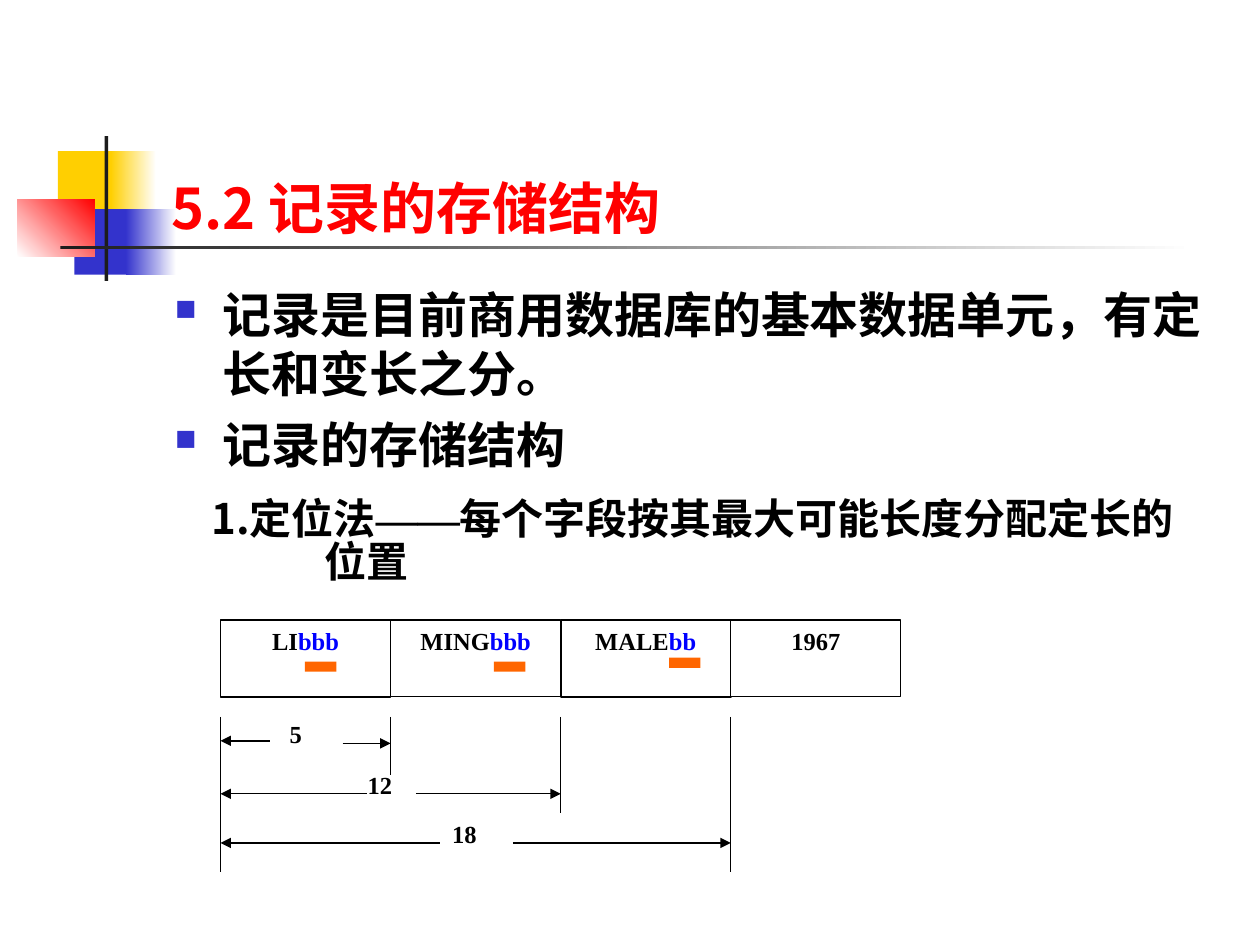
from lxml import etree
from pptx import Presentation
from pptx.dml.color import RGBColor
from pptx.enum import shapes, text
from pptx.oxml import ns
from pptx.util import Inches, Pt

BLACK = RGBColor(0x00, 0x00, 0x00)
WHITE = RGBColor(0xFF, 0xFF, 0xFF)
RED = RGBColor(0xFF, 0x00, 0x00)
YELLOW = RGBColor(0xFF, 0xCF, 0x01)
INDIGO = RGBColor(0x33, 0x33, 0xCC)
CHARCOAL = RGBColor(0x1C, 0x1C, 0x1C)
BLUE = RGBColor(0x00, 0x00, 0xFF)
ORANGE = RGBColor(0xFF, 0x66, 0x00)
SANS, BODY, SERIF = "Noto Sans CJK SC", "Lato", "Times New Roman"


def add_xml(parent, tag, **attributes):
    """Append a DrawingML element to a parent."""
    return etree.SubElement(parent, ns.qn(tag), attributes)


def style_run(run, size, face, color):
    """Give a run its bold face for Latin and East Asian text."""
    run.font.size = Pt(size)
    run.font.bold = True
    run.font.color.rgb = color
    run.font.name = face
    add_xml(run.font._element, "a:ea", typeface=face)


def add_runs(paragraph, parts, size):
    """Fill a paragraph with (wording, face, colour) parts."""
    for wording, face, color in parts:
        run = paragraph.add_run()
        run.text = wording
        style_run(run, size, face, color)


def add_box(slide, left, top, width, height):
    """Add a wrapping text box and return its frame."""
    frame = slide.shapes.add_textbox(
        Inches(left), Inches(top), Inches(width), Inches(height)).text_frame
    frame.word_wrap = True
    return frame


def add_rect(slide, left, top, width, height, color, fade_to=None, angle=0):
    """Add a borderless rectangle, plain or fading to a second colour."""
    rect = slide.shapes.add_shape(
        shapes.MSO_SHAPE.RECTANGLE,
        Inches(left), Inches(top), Inches(width), Inches(height))
    rect.shadow.inherit = False
    rect.line.fill.background()
    if fade_to is None:
        rect.fill.solid()
        rect.fill.fore_color.rgb = color
    else:
        rect.fill.gradient()
        rect.fill.gradient_angle = angle
        for stop, shade in zip(rect.fill.gradient_stops, (color, fade_to)):
            stop.color.rgb = shade
    return rect


def add_line(slide, start, end, arrow=None):
    """Add a thin black line with an optional headEnd or tailEnd arrow."""
    line = slide.shapes.add_connector(
        shapes.MSO_CONNECTOR.STRAIGHT, *(Inches(v) for v in (*start, *end)))
    line.line.color.rgb = BLACK
    line.line.width = Pt(0.75)
    if arrow:
        add_xml(line.line._get_or_add_ln(), arrow, type="triangle")
    add_xml(line._element.spPr, "a:effectLst")


def add_emblem(slide, left, top):
    """Draw the overlapping colour blocks and the crossing rules."""
    for x, y, width, height, *paint in (
            (0.32, 0.12, 0.48, 0.52, YELLOW),
            (0.74, 0.12, 0.36, 0.52, YELLOW, WHITE),
            (0.45, 0.58, 0.46, 0.52, INDIGO),
            (0.86, 0.58, 0.4, 0.52, INDIGO, WHITE),
            (0, 0.5, 0.61, 0.46, WHITE, RED, 45),
            (0.69, 0, 0.03, 1.15, CHARCOAL),
            (0.34, 0.87, 9, 0.03, CHARCOAL, WHITE)):
        add_rect(slide, left + x, top + y, width, height, *paint)


def add_title(slide, left, top, width, height):
    """Place the section heading at the bottom of its box."""
    frame = add_box(slide, left, top, width, height)
    frame.vertical_anchor = text.MSO_ANCHOR.BOTTOM
    frame.margin_bottom = Inches(0.01)
    add_runs(frame.paragraphs[0], [("5.2 记录的存储结构", SANS, RED)], 32)


def add_points(slide, left, top, width, height):
    """Place the square-bulleted points."""
    frame = add_box(slide, left, top, width, height)
    points = ("记录是目前商用数据库的基本数据单元，有定长和变长之分。",
              "记录的存储结构")
    for index, point in enumerate(points):
        paragraph = frame.add_paragraph() if index else frame.paragraphs[0]
        if index:
            paragraph.space_before = Pt(7)
        props = paragraph._p.get_or_add_pPr()
        props.set("marL", str(Inches(0.38)))
        props.set("indent", str(-Inches(0.38)))
        add_xml(add_xml(props, "a:buClr"), "a:srgbClr", val=str(INDIGO))
        add_xml(props, "a:buSzPct", val="60000")
        add_xml(props, "a:buChar", char="■")
        add_runs(paragraph, [(point, BODY, BLACK)], 28)


def add_method(slide, left, top, width, height):
    """Place the description of the fixed-position method."""
    frame = add_box(slide, left, top, width, height)
    frame.margin_right = 0
    heading, rest = frame.paragraphs[0], frame.add_paragraph()
    add_runs(heading, [("1.定位法", SANS, BLACK), ("——", SERIF, BLACK),
                       ("每个字段按其最大可能长度分配定长的", SANS, BLACK)], 24)
    add_runs(rest, [("位置", SANS, BLACK)], 24)
    rest._p.get_or_add_pPr().set("marL", str(Inches(0.9)))
    for paragraph in frame.paragraphs:
        paragraph.line_spacing = 0.85


def add_record(slide, left, top, field_width, height):
    """Draw the record's fields with a marker under each padding."""
    fields = (("LI", "bbb"), ("MING", "bbb"), ("MALE", "bb"), ("1967", ""))
    for index, (value, padding) in enumerate(fields):
        field = add_rect(slide, left + index * field_width, top,
                         field_width, height, WHITE)
        field.line.color.rgb = BLACK
        field.line.width = Pt(0.75 if index % 2 else 1)
        field.text_frame.vertical_anchor = text.MSO_ANCHOR.TOP
        paragraph = field.text_frame.paragraphs[0]
        paragraph.alignment = text.PP_ALIGN.CENTER
        parts = [(value, SERIF, BLACK)]
        if padding:
            parts.append((padding, SERIF, BLUE))
        add_runs(paragraph, parts, 14)
    for x, y in ((0.67, 0.33), (2.17, 0.33), (3.56, 0.3)):
        add_rect(slide, left + x, top + y, 0.25, 0.08, ORANGE)


def add_offsets(slide, left, top, field_width):
    """Draw the extension lines and the offset of each field."""
    for index, drop in enumerate((1.23, 0.46, 0.76, 1.23)):
        x = left + index * field_width
        add_line(slide, (x, top), (x, top + drop))
    offsets = (("5", 0.19, 0.21, 0.39, 0.97, 0.45, -0.03),
               ("12", 0.61, 0.61, 1.16, 1.55, 1.07, 0.37),
               ("18", 1, 1, 1.74, 2.32, 1.74, 0.76))
    for index, (value, y_left, y_right, gap_start, gap_end,
                label_x, label_y) in enumerate(offsets, 1):
        add_line(slide, (left, top + y_left),
                 (left + gap_start, top + y_left), "a:headEnd")
        add_line(slide, (left + gap_end, top + y_right),
                 (left + index * field_width, top + y_right), "a:tailEnd")
        label = add_box(slide, left + label_x, top + label_y, 0.58, 0.46)
        label.paragraphs[0].alignment = text.PP_ALIGN.JUSTIFY
        add_runs(label.paragraphs[0], [(value, SERIF, BLACK)], 14)


def main():
    """Build the slide and save it."""
    deck = Presentation()
    deck.slide_width, deck.slide_height = Inches(10), Inches(7.5)
    slide = deck.slides.add_slide(deck.slide_layouts[6])
    add_emblem(slide, 0.14, 1.08)
    add_title(slide, 1.26, 0.67, 8.52, 1.25)
    add_points(slide, 1.29, 2.21, 8.5, 4.5)
    add_method(slide, 1.58, 3.92, 7.92, 1.3)
    add_record(slide, 1.75, 4.92, 1.35, 0.61)
    add_offsets(slide, 1.75, 5.69, 1.35)
    deck.save("out.pptx")


if __name__ == "__main__":
    main()
